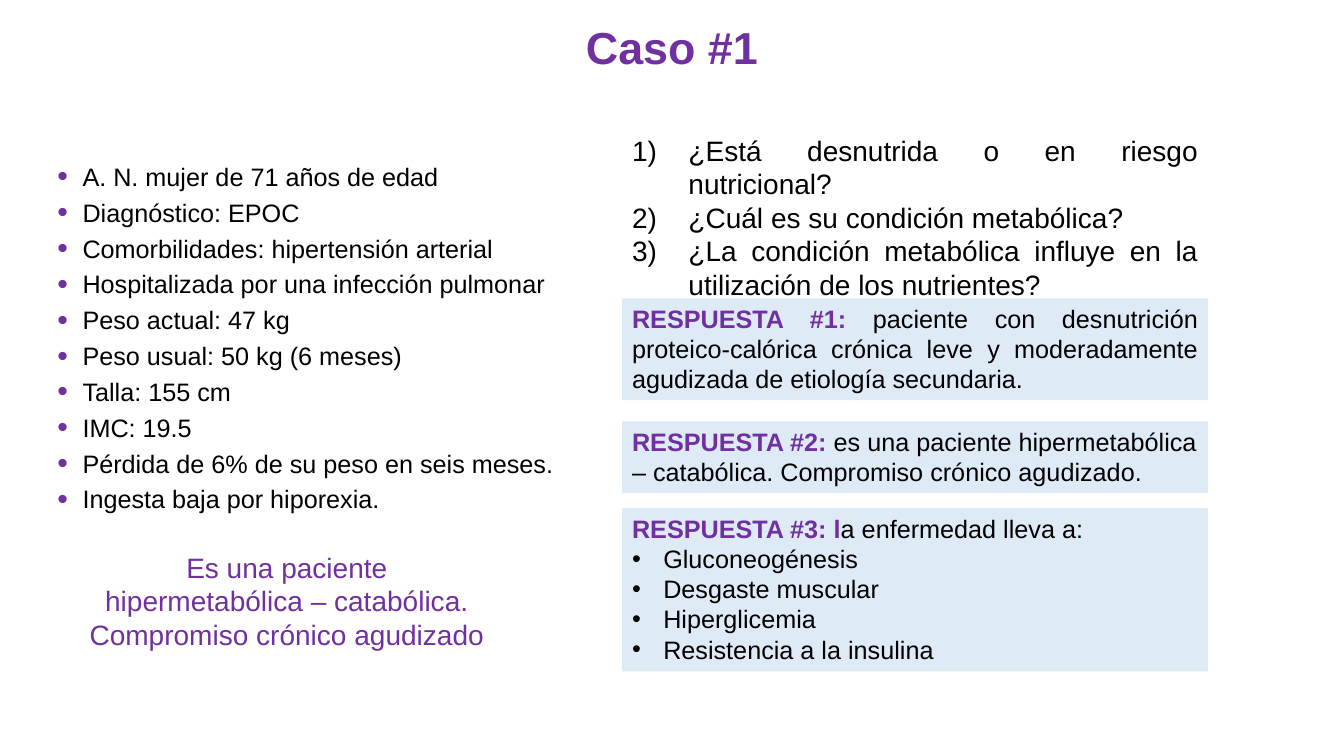
from dataclasses import dataclass

import pptx
import pptx.dml.color
import pptx.enum.shapes
import pptx.enum.text
import pptx.util
from lxml import etree
from pptx.oxml import ns

EMU_PER_PX = 9144  # 100 px to the inch
ALIGN = pptx.enum.text.PP_ALIGN
ANCHOR = pptx.enum.text.MSO_ANCHOR


@dataclass(frozen=True)
class Theme:
    font: str = "Arial"
    purple: str = "7030A0"
    black: str = "000000"
    panel: str = "DEEBF7"
    title_size: int = 32
    question_size: int = 20
    body_size: int = 18


THEME = Theme()

PATIENT_FACTS = [
    "A. N. mujer de 71 años de edad",
    "Diagnóstico: EPOC",
    "Comorbilidades: hipertensión arterial",
    "Hospitalizada por una infección pulmonar",
    "Peso actual: 47 kg",
    "Peso usual: 50 kg (6 meses)",
    "Talla: 155 cm",
    "IMC: 19.5",
    "Pérdida de 6% de su peso en seis meses.",
    "Ingesta baja por hiporexia.",
]
QUESTIONS = [
    "¿Está desnutrida o en riesgo nutricional?",
    "¿Cuál es su condición metabólica?",
    "¿La condición metabólica influye en la utilización de los nutrientes?",
]
DISEASE_EFFECTS = ["Gluconeogénesis", "Desgaste muscular", "Hiperglicemia", "Resistencia a la insulina"]


def px(length):
    return pptx.util.Emu(length * EMU_PER_PX)


def rgb(color):
    return pptx.dml.color.RGBColor.from_string(color)


def add_marker(paragraph, indent, marker, color=None, percent=None):
    """Hang a bullet character, or an automatic number when marker is "1)"."""
    properties = paragraph._p.get_or_add_pPr()
    properties.set("marL", str(px(indent)))
    properties.set("indent", str(-px(indent)))
    if color:
        holder = etree.SubElement(properties, ns.qn("a:buClr"))
        etree.SubElement(holder, ns.qn("a:srgbClr"), val=color)
    if percent:
        etree.SubElement(properties, ns.qn("a:buSzPct"), val=str(percent * 1000))
    if marker == "1)":
        etree.SubElement(properties, ns.qn("a:buFont"), typeface="+mj-lt")
        etree.SubElement(properties, ns.qn("a:buAutoNum"), type="arabicParenR")
    else:
        etree.SubElement(properties, ns.qn("a:buFont"), typeface=THEME.font)
        etree.SubElement(properties, ns.qn("a:buChar"), char=marker)


def write_text(frame, text, *, lead="", size=THEME.body_size, color=THEME.black,
               bold=False, align=ALIGN.LEFT, before=0, line_spacing=None, marker=None):
    """Append a paragraph, opening with an optional bold purple lead."""
    first = not frame.paragraphs[0].runs
    paragraph = frame.paragraphs[0] if first else frame.add_paragraph()
    if marker:
        add_marker(paragraph, **marker)
    paragraph.alignment = align
    if before and not first:
        paragraph.space_before = pptx.util.Pt(before)
    if line_spacing:
        paragraph.line_spacing = line_spacing
    for words, run_color, run_bold in ((lead, THEME.purple, True), (text, color, bold)):
        if words:
            run = paragraph.add_run()
            run.text = words
            run.font.name = THEME.font
            run.font.size = pptx.util.Pt(size)
            run.font.color.rgb = rgb(run_color)
            run.font.bold = run_bold


def add_text_box(slide, left, top, width, height, anchor=ANCHOR.TOP):
    frame = slide.shapes.add_textbox(px(left), px(top), px(width), px(height)).text_frame
    frame.word_wrap = True
    frame.vertical_anchor = anchor
    return frame


def add_answer(slide, top, height, lead, text, align=ALIGN.LEFT):
    shape = slide.shapes.add_shape(
        pptx.enum.shapes.MSO_SHAPE.RECTANGLE, px(617), px(top), px(581), px(height))
    shape.shadow.inherit = False
    shape.fill.solid()
    shape.fill.fore_color.rgb = rgb(THEME.panel)
    shape.line.fill.background()
    frame = shape.text_frame
    frame.word_wrap = True
    frame.vertical_anchor = ANCHOR.TOP
    write_text(frame, text, lead=lead, align=align)
    return frame


def main():
    presentation = pptx.Presentation()
    presentation.slide_width, presentation.slide_height = px(1333), px(750)
    slide = presentation.slides.add_slide(presentation.slide_layouts[6])

    title = add_text_box(slide, 0, 16, 1333, 67, ANCHOR.MIDDLE)
    write_text(title, "Caso #1", size=THEME.title_size, color=THEME.purple,
               bold=True, align=ALIGN.CENTER, line_spacing=0.9)

    facts = add_text_box(slide, 47, 159, 531, 376, ANCHOR.MIDDLE)
    facts.margin_bottom = px(29)
    for fact in PATIENT_FACTS:
        write_text(facts, fact, before=4,
                   marker=dict(indent=25, marker="•", color=THEME.purple, percent=120))

    questions = add_text_box(slide, 617, 127, 581, 145)
    for question in QUESTIONS:
        write_text(questions, question, size=THEME.question_size, align=ALIGN.JUSTIFY,
                   marker=dict(indent=56, marker="1)"))

    add_answer(slide, 296, 101, "RESPUESTA #1: ",
               "paciente con desnutrición proteico-calórica crónica leve y "
               "moderadamente agudizada de etiología secundaria.", ALIGN.JUSTIFY)
    add_answer(slide, 418, 71, "RESPUESTA #2: ",
               "es una paciente hipermetabólica – catabólica. Compromiso crónico agudizado.")
    effects = add_answer(slide, 504, 162, "RESPUESTA #3: l", "a enfermedad lleva a:")
    for effect in DISEASE_EFFECTS:
        write_text(effects, effect, marker=dict(indent=31, marker="•"))

    conclusion = add_text_box(slide, 77, 541, 415, 111)
    write_text(conclusion, "Es una paciente hipermetabólica – catabólica. Compromiso crónico agudizado",
               size=THEME.question_size, color=THEME.purple, align=ALIGN.CENTER)

    presentation.save("out.pptx")


if __name__ == "__main__":
    main()
